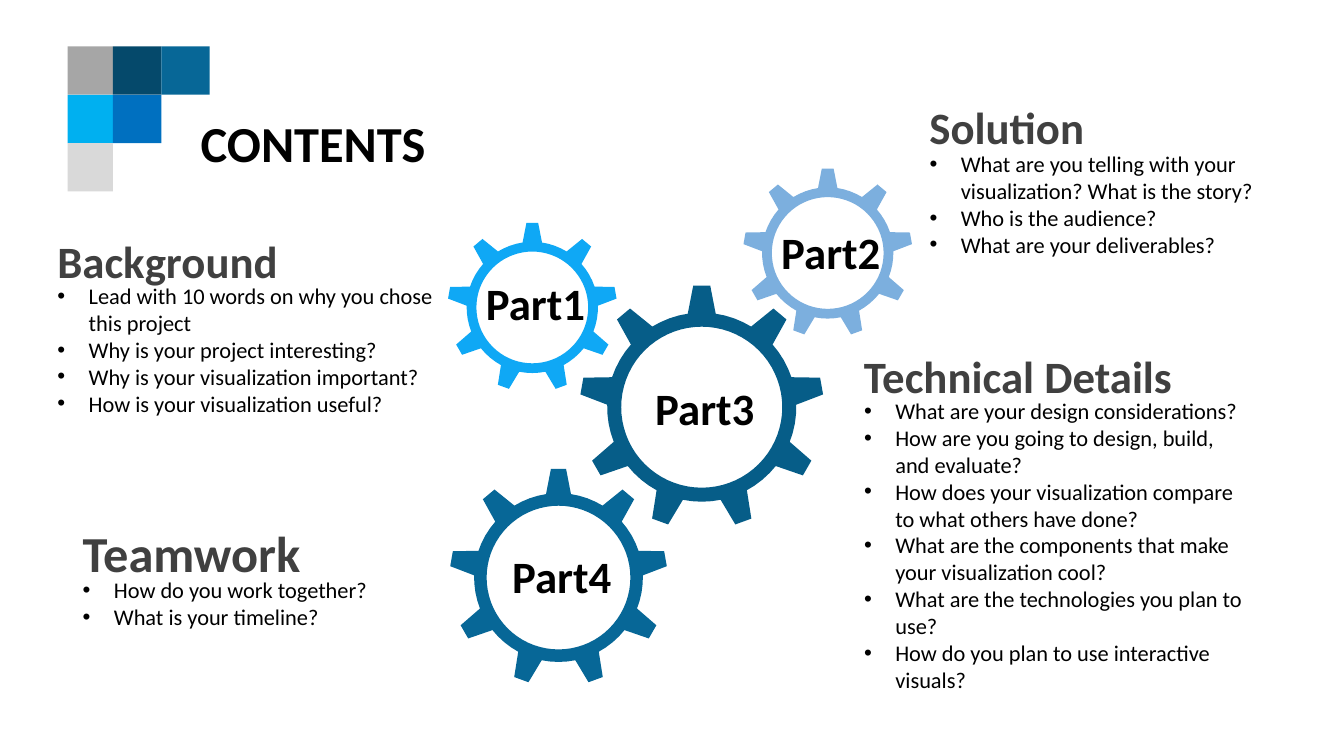
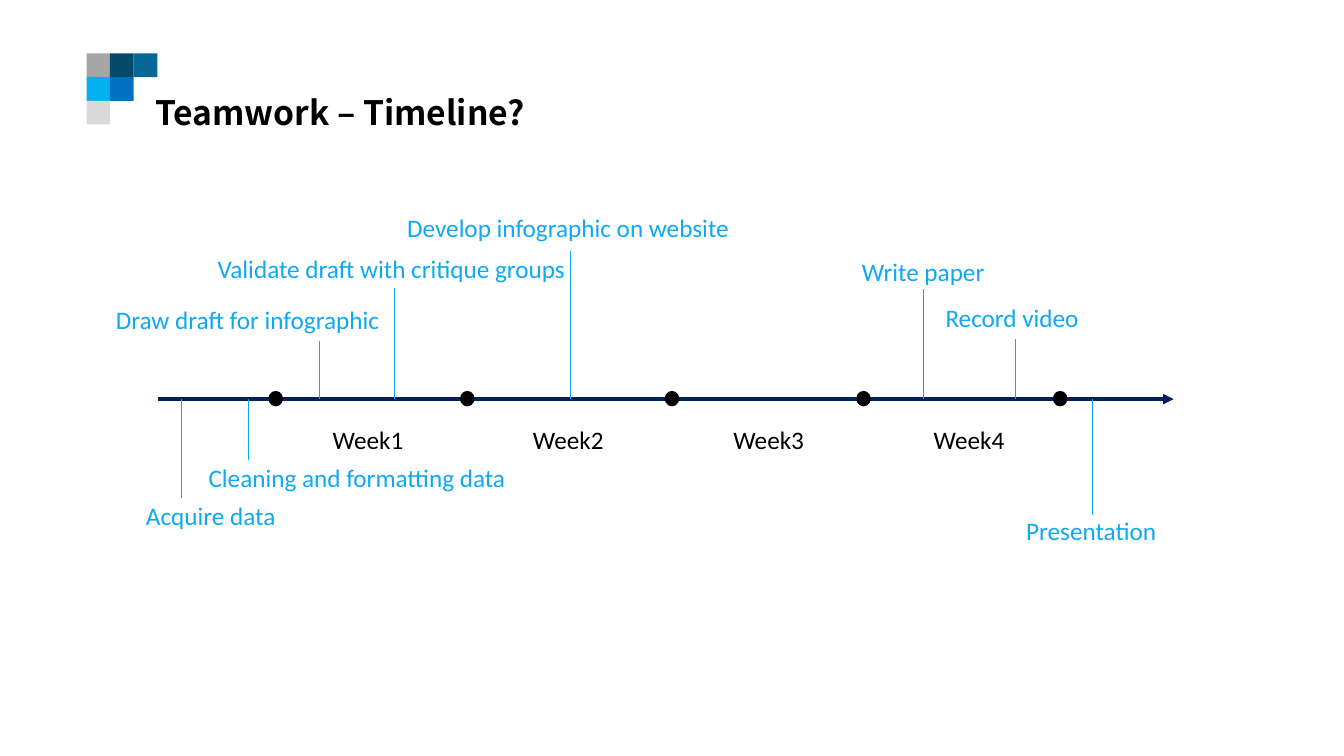
from math import cos, radians, sin

from lxml import etree
from pptx import Presentation
from pptx.dml.color import RGBColor
from pptx.enum.shapes import MSO_CONNECTOR, MSO_SHAPE
from pptx.enum.text import MSO_ANCHOR, MSO_AUTO_SIZE, PP_ALIGN
from pptx.oxml.ns import qn
from pptx.util import Inches, Pt

RECT, OVAL = MSO_SHAPE.RECTANGLE, MSO_SHAPE.OVAL
LINE = MSO_CONNECTOR.STRAIGHT
TOP, MID = MSO_ANCHOR.TOP, MSO_ANCHOR.MIDDLE
LEFT, FIXED = PP_ALIGN.LEFT, MSO_AUTO_SIZE.NONE

BLACK, GREY, SKY, NAVY = "000000", "404040", "0FA8F5", "002060"
TILES = [
    (0, 0, "A6A6A6"), (1, 0, "05496B"), (2, 0, "076797"),
    (0, 1, "00B0F0"), (1, 1, "0070C0"), (0, 2, "D9D9D9"),
]

deck = Presentation()
deck.slide_width, deck.slide_height = Inches(13.33), Inches(7.5)
CELL = deck.slide_height / 75


def grid(*cells):
    return [round(cell * CELL) for cell in cells]


def hue(code):
    return RGBColor.from_string(code)


def write(shape, text, box=None, size=18, color=BLACK, bold=False,
          font="Calibri", bullet=False, wrap=True, anchor=TOP):
    if box:
        shape.left, shape.top, shape.width, shape.height = grid(*box)
    frame = shape.text_frame
    frame.text = text
    frame.word_wrap, frame.auto_size = wrap, FIXED
    frame.vertical_anchor = anchor
    for para in frame.paragraphs:
        if bullet:
            props = para._p.get_or_add_pPr()
            props.set("marL", str(Inches(0.31)))
            props.set("indent", str(-Inches(0.31)))
            etree.SubElement(props, qn("a:buFont")).set("typeface", "Arial")
            etree.SubElement(props, qn("a:buChar")).set("char", "•")
        para.alignment = LEFT
        para.space_before = Pt(0)
        para.font.name, para.font.size = font, Pt(size)
        para.font.bold = bold
        para.font.color.rgb = hue(color)


def paint(shape, color):
    shape.shadow.inherit = False
    shape.fill.solid()
    shape.fill.fore_color.rgb = hue(color)
    shape.line.fill.background()


pages = []
for layout, title, box, size, font, tile in [
    (4, "CONTENTS", (18.9, 10.6, 26.2, 7.1), 36, "Calibri",
     (6.7, 4.6, 4.5, 4.8)),
    (5, "Teamwork – Timeline?", (14.4, 8.6, 109.5, 5), 24,
     "Noto Sans CJK SC", (8.6, 5.3, 2.3, 2.35)),
]:
    page = deck.slides.add_slide(deck.slide_layouts[layout])
    pages.append(page)
    write(page.shapes.title, title, box, size=size, bold=True, font=font,
          anchor=MID)
    left, top, first, side = tile
    for col, row, color in TILES:
        x = left + (first + (col - 1) * side if col else 0)
        wide = side if col else first
        paint(page.shapes.add_shape(
            RECT, *grid(x, top + row * side, wide, side)), color)

parts, plan = pages

TOOTH = [(-8.5, 0.775), (-4, 1), (4, 1), (8.5, 0.775),
         (14, 0.775), (20, 0.775), (26, 0.775)]
RIM = [(40 * step + turn, share) for step in range(9) for turn, share in TOOTH]
HOLE = [(turn, 0.66) for turn in range(0, 360, 5)]

for name, x, y, size, top, color in [
    ("Part2", 82.1, 25.1, 8.4, 21.8, "7CAFDE"),
    ("Part3", 69.6, 40.4, 12.1, 37.3, "065D88"),
    ("Part1", 52.8, 30.5, 8.4, 26.9, SKY),
    ("Part4", 55.4, 57.3, 10.8, 53.9, "076797"),
]:
    rim, hole = [
        [grid(x + size * share * sin(radians(turn)),
              y - size * share * cos(radians(turn))) for turn, share in ring]
        for ring in (RIM, HOLE)
    ]
    gear = parts.shapes.build_freeform(*rim[0])
    gear.add_line_segments(rim[1:])
    gear.move_to(*hole[0])
    gear.add_line_segments(hole[1:])
    paint(gear.convert_to_shape(), color)
    label = parts.shapes.add_textbox(*grid(x - 5.6, top, 12.5, 6.4))
    write(label, name, size=32, bold=True)

TOPICS = [
    ("Solution", 91.2, 9.4, 32, 14.4, 35.5, 11.8, [
        "What are you telling with your visualization? What is the story?",
        "Who is the audience?",
        "What are your deliverables?"]),
    ("Technical Details", 84.7, 34.1, 32, 38.9, 40.5, 30.6, [
        "What are your design considerations?",
        "How are you going to design, build, and evaluate?",
        "How does your visualization compare to what others have done?",
        "What are the components that make your visualization cool?",
        "What are the technologies you plan to use?",
        "How do you plan to use interactive visuals?"]),
    ("Teamwork", 7.2, 51.3, 36, 56.7, 35.5, 6.4, [
        "How do you work together?",
        "What is your timeline?"]),
    ("Background", 4.7, 22.7, 32, 27.5, 40.1, 14.5, [
        "Lead with 10 words on why you chose this project",
        "Why is your project interesting?",
        "Why is your visualization important?",
        "How is your visualization useful?"]),
]
for slot, (head, x, y, size, top, wide, high, items) in enumerate(TOPICS, 1):
    label = parts.shapes.add_textbox(*grid(x, y, 40.5, size / 5))
    write(label, head, size=size, color=GREY, bold=True)
    write(parts.placeholders[slot], "\n".join(items), (x, top, wide, high),
          size=16, bullet=True)

AXIS = 39.6
EVENTS = [
    ("Presentation", 100.8, 50.6, 15.1, 108.3, 51.1),
    ("Record video", 92.8, 29.5, 15.4, 100.7, 33.6),
    ("Write paper", 84.5, 24.9, 14.3, 91.6, 28.7),
    ("Develop infographic on website", 39.4, 20.6, 34.3, 56.6, 24.9),
    ("Validate draft with critique groups", 20.6, 24.6, 37, 39.1, 28.6),
    ("Draw draft for infographic", 10.5, 29.7, 28.5, 31.7, 33.8),
    ("Cleaning and formatting data", 19.7, 45.4, 31.9, 24.6, 45.6),
    ("Acquire data", 13.5, 49.1, 15, 18, 49.4),
]
rules = [(15.7, 116.4, AXIS, NAVY, 2.5)]
rules += [(x, x, end, "11A9ED", 0.5) for *_, x, end in EVENTS]
for start, stop, end, color, width in rules:
    rule = plan.shapes.add_connector(LINE, *grid(start, AXIS, stop, end))
    rule.line.color.rgb = hue(color)
    rule.line.width = Pt(width)
    if start != stop:
        tip = etree.SubElement(rule.line._get_or_add_ln(), qn("a:tailEnd"))
        tip.set("type", "triangle")
    etree.SubElement(rule._element.spPr, qn("a:effectLst"))

for x in (26.7, 45.7, 66, 85, 104.5):
    dot = plan.shapes.add_shape(OVAL, *grid(x, AXIS - 0.75, 1.3, 1.4))
    paint(dot, BLACK)
    dot.line.color.rgb = hue(BLACK)
    dot.line.width = Pt(1)

labels = [(f"Week{week + 1}", 32 + 19.87 * week, 41.6, 9.1, BLACK)
          for week in range(4)]
labels += [(text, x, y, wide, SKY) for text, x, y, wide, *_ in EVENTS]
for text, x, y, wide, color in labels:
    label = plan.shapes.add_textbox(*grid(x, y, wide, 4))
    write(label, text, color=color, wrap=False)

deck.save("out.pptx")
